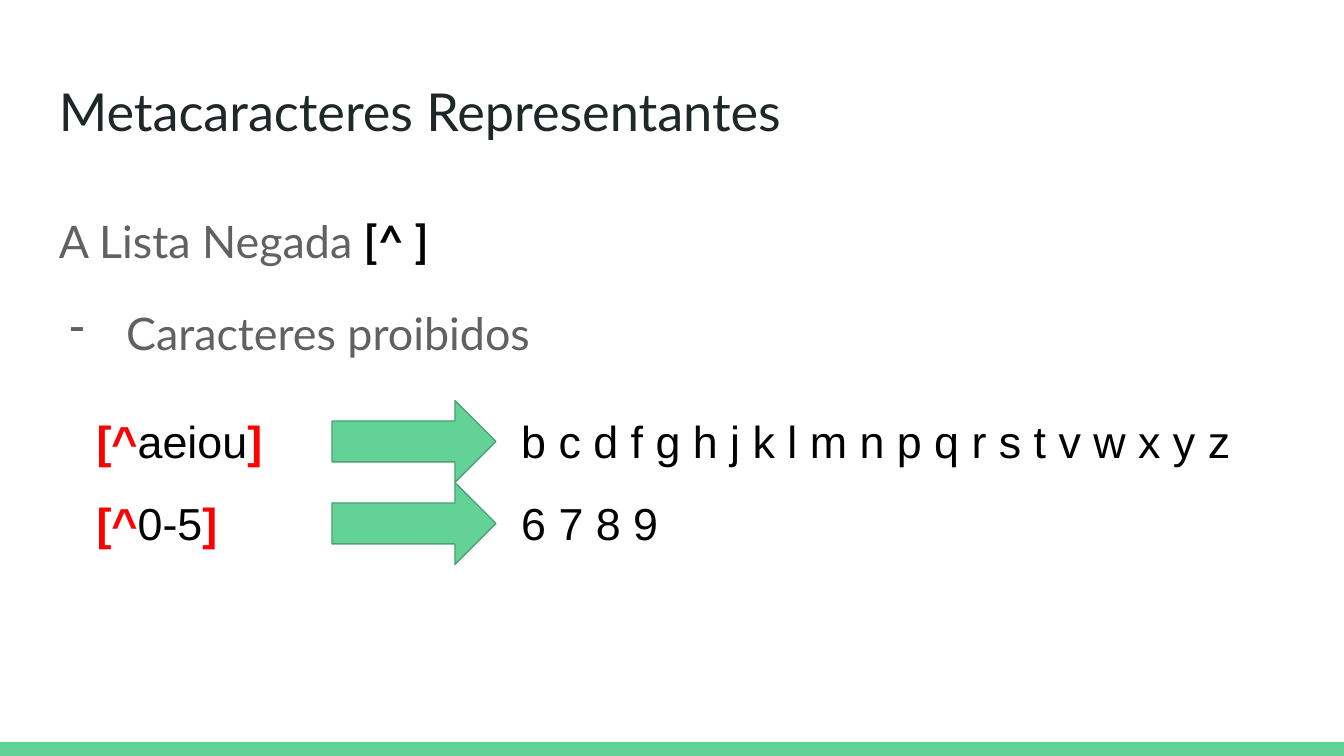
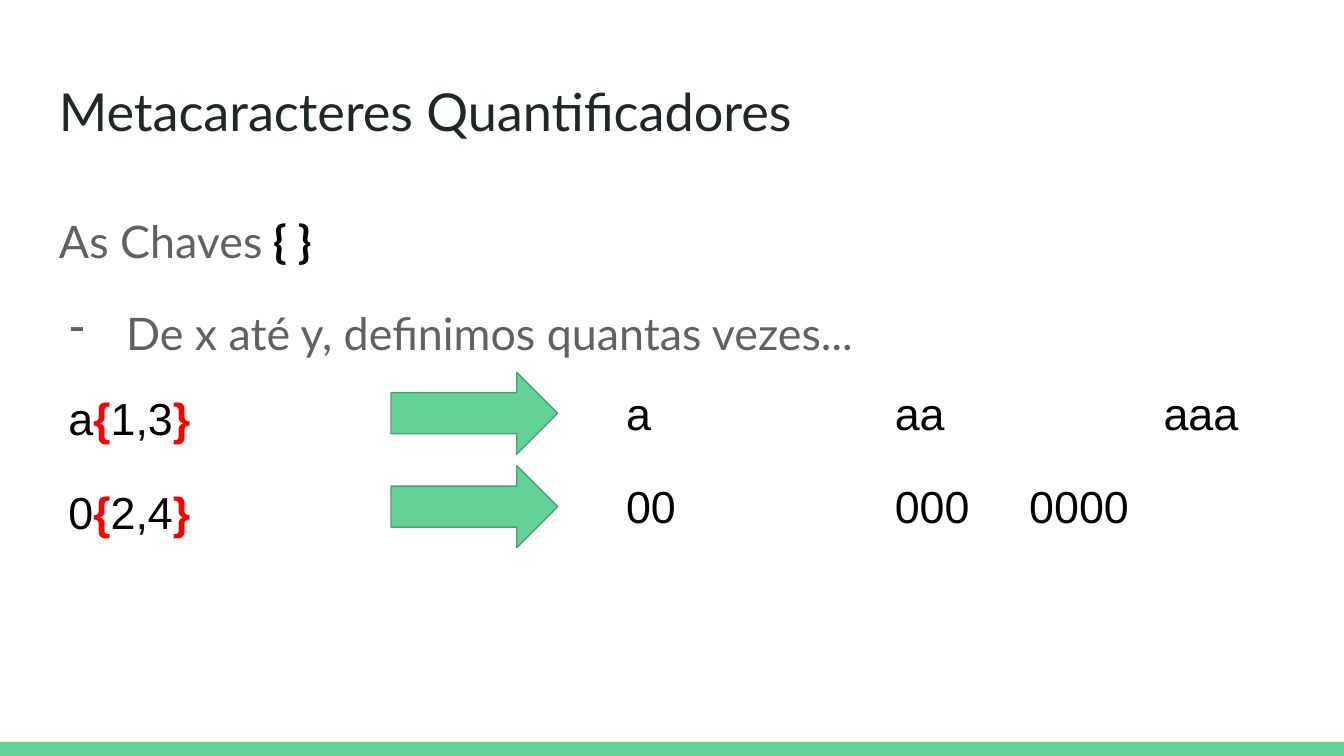
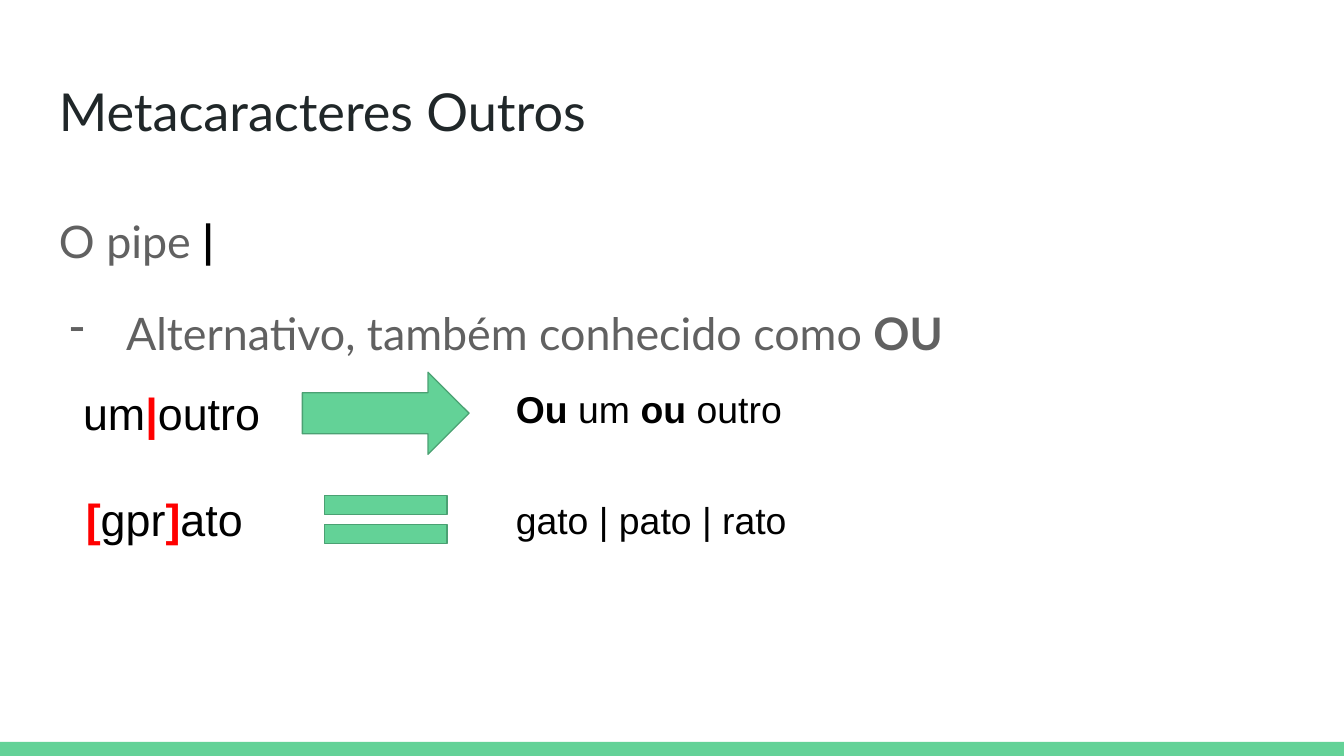
import pptx
import pptx.util
import pptx.dml.color
import pptx.enum.shapes
import pptx.enum.text
import lxml.etree
from dataclasses import dataclass

SHAPE = pptx.enum.shapes.MSO_SHAPE
ARROW, EQUAL = SHAPE.RIGHT_ARROW, SHAPE.MATH_EQUAL


@dataclass(frozen=True)
class Theme:
    green: str = "63D297"
    edge: str = "4BA173"
    ink: str = "202729"
    gray: str = "616161"
    black: str = "000000"
    red: str = "FF0000"
    head: str = "Lato"
    code: str = "Arial"
    title: int = 28
    body: int = 24
    small: int = 20


T = Theme()

# Run formats: colour (None keeps the box colour) and bold
RED, DARK, BOLD = (T.red, True), (T.black, True), (None, True)

# Content: plain strings are plain runs, pairs are (text, format).
# Each row: code, sign, result, code shift right, result shift down.
# Columns are (left, width); every length is a percent of slide width.
SLIDES = [
    dict(
        title="Metacaracteres Representantes",
        lead=["A Lista Negada ", ("[^ ]", DARK)],
        point=["Caracteres proibidos"],
        cols=[(6.2, 17.5), (24.7, 12.2), (37.8, 58.7)],
        top=29.8, step=6.1, drop=0, size=T.body,
        rows=[
            ([("[^", RED), "aeiou", ("]", RED)], ARROW,
             ["b c d f g h j k l m n p q r s t v w x y z"], 0, 0),
            ([("[^", RED), "0-5", ("]", RED)], ARROW, ["6 7 8 9"], 0, 0),
        ],
    ),
    dict(
        title="Metacaracteres Quantificadores",
        lead=["As Chaves", (" { }", DARK)],
        point=["De x até y, definimos quantas vezes..."],
        cols=[(4.1, 18.5), (29.1, 12.4), (45.6, 50.3)],
        top=27.7, step=6.95, drop=0.4, size=T.body,
        rows=[
            (["a", ("{", RED), "1,3", ("}", RED)], ARROW,
             ["a\t\taa\t\taaa"], 0, 0),
            (["0", ("{", RED), "2,4", ("}", RED)], ARROW,
             ["00\t\t000\t0000"], 0, 0),
        ],
    ),
    dict(
        title="Metacaracteres Outros",
        lead=["O pipe ", ("|", DARK)],
        point=["Alternativo, também conhecido como ", ("OU", BOLD)],
        cols=[(5.2, 18.5), (22.5, 12.4), (37.4, 58.6)],
        top=27.7, step=7.9, drop=0, size=T.small,
        rows=[
            (["um", ("|", RED), "outro"], ARROW,
             [("Ou", BOLD), " um ", ("ou", BOLD), " outro"], 0, 0),
            ([("[", RED), "gpr", ("]", RED), "ato"], EQUAL,
             ["gato | pato | rato"], 0.2, 0.4),
        ],
    ),
]

# Shared places
WIDE, HIGH = 100, 56.25
BAND = (0, 55.2, WIDE, HIGH - 55.2)
TITLE = (3.4, 4.9, 93.2, 6.3)
BODY = (3.4, 14.3, 93.2, 35.6)
CODE_H, SIGN_H = 5.2, 6.1
ADJUST = {ARROW: (0.5, 0.5), EQUAL: (0.235, 0.118)}


def unit(n):
    return pptx.util.Inches(n / 10)


def paint(code):
    return pptx.dml.color.RGBColor.from_string(code)


def tag(up, name, **keys):
    space = "{http://schemas.openxmlformats.org/drawingml/2006/main}"
    return lxml.etree.SubElement(up, space + name, keys)


def dash(para, color):
    form = para._p.get_or_add_pPr()
    form.set("marL", str(pptx.util.Inches(0.5)))
    form.set("indent", str(pptx.util.Inches(-0.42)))
    tag(tag(form, "buClr"), "srgbClr", val=color)
    tag(form, "buChar", char="-")


def stops(para, count=4):
    tabs = tag(para._p.get_or_add_pPr(), "tabLst")
    for n in range(1, count + 1):
        tag(tabs, "tab", pos=str(pptx.util.Inches(n)), algn="l")


def write(slide, place, paras, font=T.code, size=T.body, color=T.black,
          line=None, after=None, bullets=()):
    box = slide.shapes.add_textbox(*map(unit, place))
    frame = box.text_frame
    frame.word_wrap = True
    frame.vertical_anchor = pptx.enum.text.MSO_ANCHOR.TOP
    frame.margin_left = frame.margin_right = unit(1)
    frame.margin_top = frame.margin_bottom = unit(1)
    for n, runs in enumerate(paras):
        para = frame.add_paragraph() if n else frame.paragraphs[0]
        if line:
            para.line_spacing = line
        if after:
            para.space_after = pptx.util.Pt(after)
        if n in bullets:
            dash(para, color)
        for part in runs:
            text, (tint, bold) = (
                (part, (None, False)) if isinstance(part, str) else part)
            run = para.add_run()
            run.text = text
            run.font.name = font
            run.font.size = pptx.util.Pt(size)
            run.font.bold = bold
            run.font.color.rgb = paint(tint or color)
            if "\t" in text:
                stops(para)


def draw(slide, kind, place, edge=None):
    shape = slide.shapes.add_shape(kind, *map(unit, place))
    shape.shadow.inherit = False
    shape.fill.solid()
    shape.fill.fore_color.rgb = paint(T.green)
    if edge:
        shape.line.color.rgb = paint(edge)
        shape.line.width = pptx.util.Pt(0.75)
    else:
        shape.line.fill.background()
    for n, value in enumerate(ADJUST.get(kind, ())):
        shape.adjustments[n] = value


def build(deck, data):
    slide = deck.slides.add_slide(deck.slide_layouts[6])

    # Band, title and body
    draw(slide, SHAPE.RECTANGLE, BAND)
    write(slide, TITLE, [[data["title"]]], font=T.head, size=T.title,
          color=T.ink)
    write(slide, BODY, [data["lead"], data["point"]], font=T.head,
          color=T.gray, line=1.15, after=16, bullets=(1,))

    # Example rows: code, sign, result
    (left, span), (mid, reach), (right, room) = data["cols"]
    for n, (code, sign, result, shift, lower) in enumerate(data["rows"]):
        y = data["top"] + n * data["step"]
        write(slide, (left + shift, y + data["drop"], span, CODE_H), [code])
        draw(slide, sign, (mid, y, reach, SIGN_H), edge=T.edge)
        write(slide, (right, y + lower, room, SIGN_H), [result],
              size=data["size"])


def main():
    deck = pptx.Presentation()
    deck.slide_width, deck.slide_height = unit(WIDE), unit(HIGH)
    for data in SLIDES:
        build(deck, data)
    deck.save("out.pptx")


if __name__ == "__main__":
    main()
